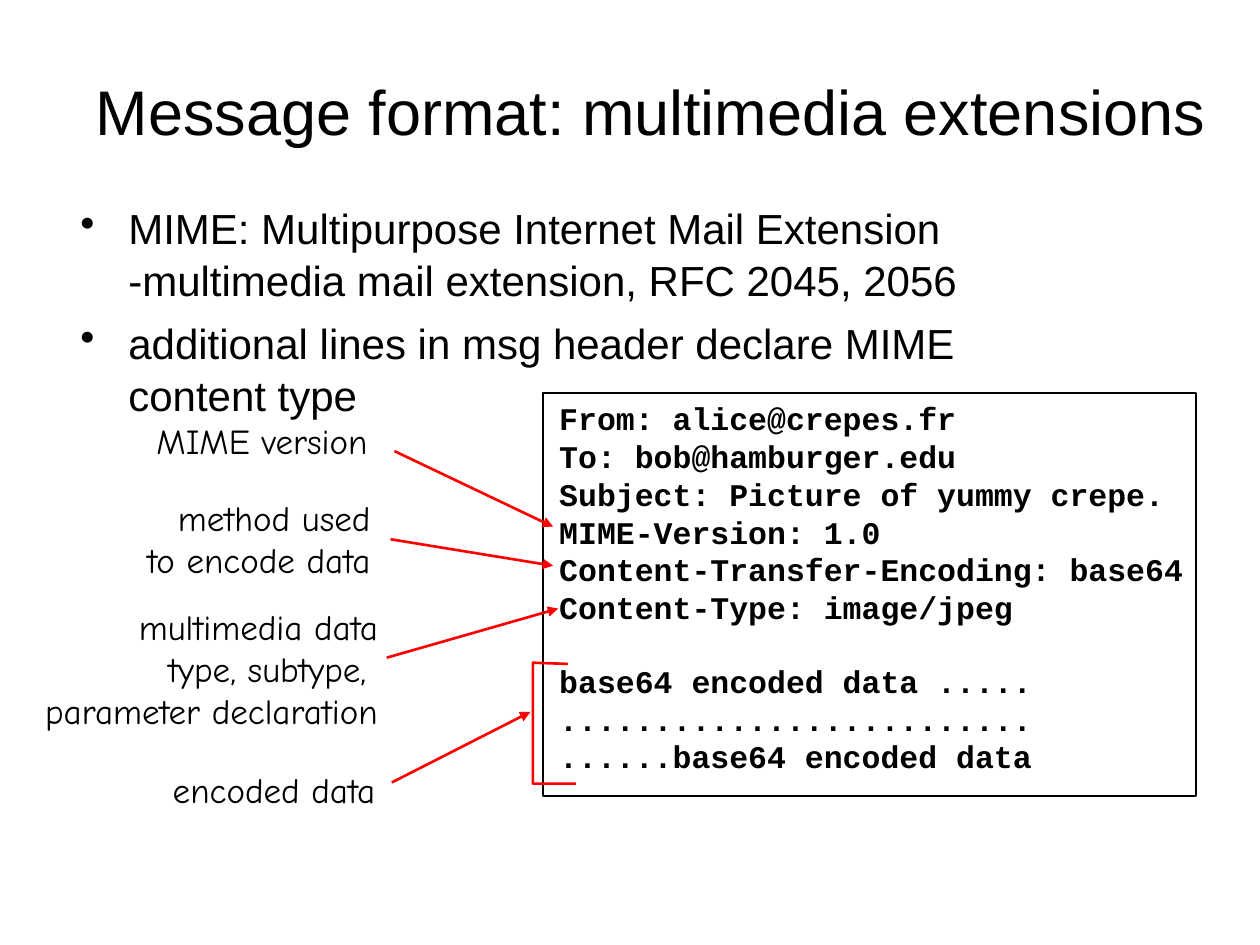
from dataclasses import dataclass

from lxml import etree
from pptx import Presentation
from pptx.dml.color import RGBColor
from pptx.enum.shapes import MSO_CONNECTOR, MSO_SHAPE
from pptx.enum.text import MSO_ANCHOR, PP_ALIGN
from pptx.oxml.ns import qn
from pptx.util import Inches, Pt

LEFT, MID, RIGHT = PP_ALIGN.LEFT, PP_ALIGN.CENTER, PP_ALIGN.RIGHT
TOP, MIDDLE = MSO_ANCHOR.TOP, MSO_ANCHOR.MIDDLE
RECT, LINE = MSO_SHAPE.RECTANGLE, MSO_CONNECTOR.STRAIGHT

COLS, ROWS = 100, 75  # slide grid, ten cells to the inch


@dataclass(frozen=True)
class Font:
    name: str
    size: float
    bold: bool = False


@dataclass(frozen=True)
class Theme:
    ink: RGBColor = RGBColor(0, 0, 0)
    mark: RGBColor = RGBColor(255, 0, 0)
    thin: float = 1
    thick: float = 1.5
    title: Font = Font("Arial", 36)
    body: Font = Font("Arial", 24)
    code: Font = Font("Courier New", 18, True)
    note: Font = Font("Comic Neue", 20)


@dataclass(frozen=True)
class Box:
    col: float
    row: float
    wide: float
    high: float


@dataclass(frozen=True)
class Note:
    box: Box
    lines: tuple[str, ...]
    align: PP_ALIGN
    start: tuple[float, float]
    end: tuple[float, float]


THEME = Theme()
BULLETS = (
    "MIME: Multipurpose Internet Mail Extension -multimedia mail extension, RFC 2045, 2056",
    "additional lines in msg header declare MIME content type",
)
HEADER = (
    "From: alice@crepes.fr",
    "To: bob@hamburger.edu",
    "Subject: Picture of yummy crepe.",
    "MIME-Version: 1.0",
    "Content-Transfer-Encoding: base64",
    "Content-Type: image/jpeg",
)
DATA = (
    "base64 encoded data .....",
    ".........................",
    "......base64 encoded data",
)
NOTES = (
    Note(Box(11.4, 32.8, 18.8, 4.4), ("MIME version",), MID,
         (31.3, 35.8), (43.9, 41.8)),
    Note(Box(10.5, 38.9, 19.9, 7.7), ("method used", "to encode data"), RIGHT,
         (31, 42.8), (43.9, 44.9)),
    Note(Box(2.4, 47.6, 28.6, 11),
         ("multimedia data", "type, subtype, ", "parameter declaration"), RIGHT,
         (30.7, 52.2), (44.3, 48.3)),
    Note(Box(12.7, 60.5, 18.1, 4.4), ("encoded data",), MID,
         (31.1, 62.1), (42.1, 56.5)),
)
BRACKET = ((45.1, 52.7), (42.3, 52.6), (42.3, 62.2), (45.7, 62.2))

deck = Presentation()
deck.slide_width, deck.slide_height = Inches(10), Inches(7.5)
slide = deck.slides.add_slide(deck.slide_layouts[6])
shapes = slide.shapes


def at(col: float, row: float) -> tuple[int, int]:
    return (round(deck.slide_width * col / COLS),
            round(deck.slide_height * row / ROWS))


def place(box: Box) -> tuple[int, int, int, int]:
    return *at(box.col, box.row), *at(box.wide, box.high)


def write(box: Box, lines: tuple[str, ...], font: Font, align: PP_ALIGN = LEFT,
          anchor: MSO_ANCHOR = TOP, wrap: bool = True) -> list:
    frame = shapes.add_textbox(*place(box)).text_frame
    frame.word_wrap, frame.vertical_anchor = wrap, anchor
    frame.text = "\n".join(lines)
    for par in frame.paragraphs:
        par.alignment = align
        par.font.name, par.font.size = font.name, Pt(font.size)
        par.font.bold, par.font.color.rgb = font.bold, THEME.ink
    return list(frame.paragraphs)


def bullet(par) -> None:
    props = par._p.get_or_add_pPr()
    props.set("marL", str(Inches(0.38)))
    props.set("indent", str(-Inches(0.38)))
    mark = etree.Element(qn("a:buChar"), char="•")
    props.insert_element_before(mark, "a:tabLst", "a:defRPr", "a:extLst")


def arrow(start: tuple[float, float], end: tuple[float, float]) -> None:
    link = shapes.add_connector(LINE, *at(*start), *at(*end))
    link.line.color.rgb, link.line.width = THEME.mark, Pt(THEME.thick)
    etree.SubElement(link.line._get_or_add_ln(), qn("a:tailEnd"), type="triangle")
    etree.SubElement(link._element.spPr, qn("a:effectLst"))


def outline(shape, color: RGBColor, width: float) -> None:
    shape.shadow.inherit = False
    shape.fill.background()
    shape.line.color.rgb, shape.line.width = color, Pt(width)


# Title and bullets
write(Box(5.8, 2.5, 91.7, 12.5), ("Message format: multimedia extensions",),
      THEME.title, MID, MIDDLE)
points = write(Box(5.4, 15.5, 80.1, 50.4), BULLETS, THEME.body)
for point in points:
    bullet(point)
    point.line_spacing = 1.03
for point in points[1:]:
    point.space_before = Pt(6)

# Mail message in its frame, data one line below the header
mail = write(Box(43.4, 31.2, 54.4, 34), HEADER + DATA, THEME.code)
mail[len(HEADER)].space_before = Pt(20.4)
outline(shapes.add_shape(RECT, *place(Box(43.1, 31.2, 51.8, 32))),
        THEME.ink, THEME.thin)

# Notes with arrows to the mail lines
for note in NOTES:
    write(note.box, note.lines, THEME.note, note.align, wrap=False)
    arrow(note.start, note.end)

# Bracket around the encoded data
first, *rest = (at(*spot) for spot in BRACKET)
path = shapes.build_freeform(*first)
path.add_line_segments(rest, close=False)
outline(path.convert_to_shape(), THEME.mark, THEME.thick)

deck.save("out.pptx")
